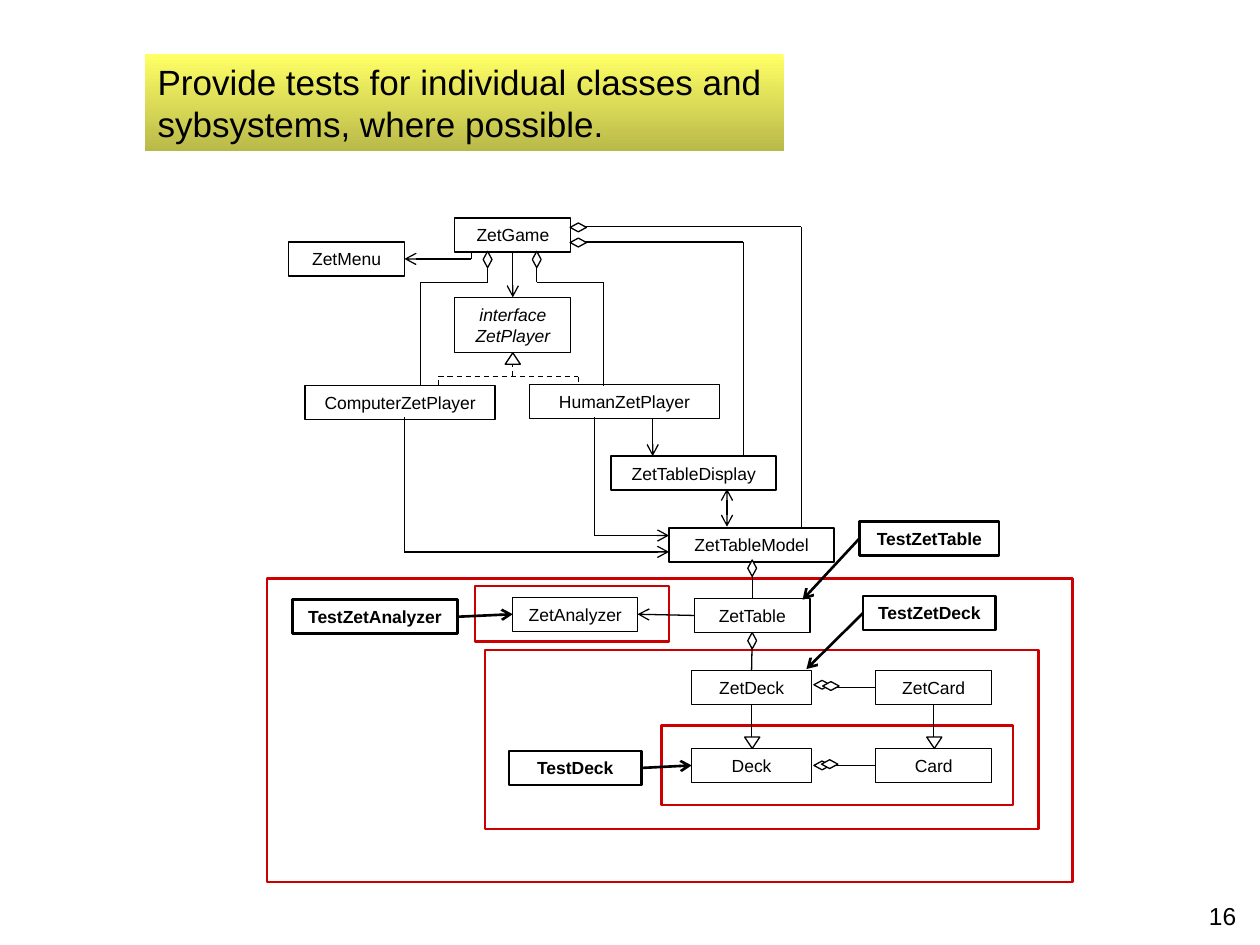
import dataclasses
import itertools

import pptx
import pptx.dml.color
import pptx.enum.dml
import pptx.enum.shapes
import pptx.enum.text
import pptx.oxml.ns
import pptx.util
from lxml import etree

RGB = pptx.dml.color.RGBColor.from_string
SHAPE = pptx.enum.shapes.MSO_SHAPE
ALIGN = pptx.enum.text.PP_ALIGN
ANCHOR = pptx.enum.text.MSO_ANCHOR
QN = pptx.oxml.ns.qn


@dataclasses.dataclass(frozen=True)
class Theme:
    """Hold the colours, type sizes and line widths."""
    ink: str = "000000"
    paper: str = "FFFFFF"
    frame: str = "CC0000"
    fade: tuple = ("FFFF66", "B9B94A")
    font: str = "Arial"
    head: int = 20
    page: int = 14
    label: int = 10
    thin: float = 0.75
    thick: float = 1.5


THEME = Theme()
COLS, ROWS = 100, 75
WIDE, HIGH = pptx.util.Inches(10), pptx.util.Inches(7.5)

FRAMES = [(1.2, 30.9, 63.9, 24.1), (18.5, 36.6, 43.9, 14.2),
          (32.5, 42.6, 27.9, 6.3), (17.7, 31.5, 15.4, 4.4)]
ROW = 2.7
NODES = {
    "ZetGame": (16.1, 2.3, 9.2, ROW),
    "ZetMenu": (2.9, 4.2, 9.2, ROW),
    "interface\nZetPlayer": (16.1, 8.6, 9.2, 4.4),
    "ComputerZetPlayer": (4.2, 15.6, 15.1, ROW),
    "HumanZetPlayer": (22, 15.5, 15.1, ROW),
    "ZetTableDisplay": (28.5, 21.2, 13.1, ROW),
    "ZetTableModel": (33.1, 26.9, 13.1, ROW),
    "ZetTable": (35.1, 32.5, 9.2, ROW),
    "ZetAnalyzer": (20.7, 32.4, 9.9, ROW),
    "ZetDeck": (34.9, 38.2, 9.5, ROW),
    "ZetCard": (49.5, 38.2, 9.2, ROW),
    "Deck": (34.9, 44.4, 9.5, ROW),
    "Card": (49.5, 44.4, 9.2, ROW),
    "TestZetAnalyzer": (3.2, 32.6, 13.1, ROW),
    "TestZetTable": (48.2, 26.4, 11.1, ROW),
    "TestZetDeck": (48.5, 32.3, 10.5, ROW),
    "TestDeck": (20.4, 44.6, 10.5, ROW),
}
TOP, LEFT, BASE, RIGHT = range(4)
PLAYER = "interface\nZetPlayer"
PLAIN = [
    [(18.7, 5.4), (18.7, 7.4), (13.4, 7.4), (13.4, 15.6)],
    [(22.6, 5.4), (22.6, 7.4), (27.9, 7.4), (27.9, 15.6)],
    [(25.9, 3), (43.6, 3), (43.6, 26.9)],
    [(25.3, 4.2), (39, 4.2), (39, 21.2)],
    [(39.7, 30), ("ZetTable", TOP)],
    [(39.7, 35.7), ("ZetDeck", TOP)],
    [("ZetDeck", BASE), (39.65, 43.8)],
    [("ZetCard", BASE), (54.1, 43.8)],
    [("ZetCard", LEFT), (45, 39.55)],
    [("Card", LEFT), (45, 45.75)],
]
DASHED = [
    [(PLAYER, BASE), (20.7, 14.9)],
    [(14.8, 15.6), (14.8, 14.9), (25.9, 14.9), (25.9, 15.5)],
]
USES = [
    [(17.4, 4.95), (17.4, 5.55), ("ZetMenu", RIGHT)],
    [("ZetGame", BASE), (PLAYER, TOP)],
    [(31.8, 18.2), (31.8, 21.2)],
    [(27.2, 18.1), (27.2, 27.5), (33.1, 27.5)],
    [(12.1, 18.1), (12.1, 28.8), (33.1, 28.8)],
    [("ZetTable", LEFT), ("ZetAnalyzer", RIGHT)],
]
MUTUAL = [[(37.7, 23.8), (37.7, 26.8)]]
TESTS = [
    [("TestZetAnalyzer", RIGHT), ("ZetAnalyzer", LEFT)],
    [("TestDeck", RIGHT), ("Deck", LEFT)],
    [("TestZetDeck", LEFT), (44, 38.1)],
    [("TestZetTable", LEFT), (43.7, 32.6)],
]
MARKS = [
    (SHAPE.DIAMOND, 0.7, 1.3, 0,
     [(18.7, 5.6), (22.6, 5.6), (39.7, 30.1), (39.7, 35.85)]),
    (SHAPE.DIAMOND, 1.3, 0.7, 0,
     [(25.9, 3.05), (25.9, 4.25), (45.25, 39.35), (45.95, 39.45),
      (45.25, 45.75), (45.85, 45.65)]),
    (SHAPE.ISOSCELES_TRIANGLE, 1.2, 0.9, 0, [(20.7, 13.45)]),
    (SHAPE.ISOSCELES_TRIANGLE, 1.2, 0.9, 180, [(39.7, 43.95), (54.15, 43.95)]),
]


def put(item, vals):
    """Set each named value on an item."""
    for key, val in vals.items():
        setattr(item, key, val)


def span(x, y):
    """Turn columns and rows into slide lengths."""
    return round(x * WIDE / COLS), round(y * HIGH / ROWS)


def place(box, part):
    """Give the slide lengths of a part within a box."""
    return span(box[0] + part[0], box[1] + part[1]) + span(*part[2:])


def write(shape, text, size, align, anchor, **style):
    """Fill a shape with text in the theme's type."""
    frame = shape.text_frame
    put(frame, {"text": text, "word_wrap": True, "vertical_anchor": anchor,
                "auto_size": pptx.enum.text.MSO_AUTO_SIZE.NONE})
    for para in frame.paragraphs:
        put(para, {"alignment": align, "line_spacing": 1.0})
        put(para.font, {"name": THEME.font, "size": pptx.util.Pt(size), **style})
        para.font.color.rgb = RGB(THEME.ink)


def draw(slide, kind, spot, hue, width, fill=None):
    """Add an outlined shape."""
    shape = slide.shapes.add_shape(kind, *spot)
    shape.shadow.inherit = False
    shape.line.color.rgb = RGB(hue)
    shape.line.width = pptx.util.Pt(width)
    if fill:
        shape.fill.solid()
        shape.fill.fore_color.rgb = RGB(fill)
    else:
        shape.fill.background()
    return shape


def point(end):
    """Find the grid point of a free end or a node's side."""
    if end[0] not in NODES:
        return end
    x, y, w, h = NODES[end[0]]
    dx, dy = ((0.5, 0), (0, 0.5), (0.5, 1), (1, 0.5))[end[1]]
    return x + w * dx, y + h * dy


def wire(slide, box, nodes, route, width=THEME.thin, tips=(), dash=None):
    """Draw a route of straight lines with tips at its ends."""
    pairs = list(itertools.pairwise(route))
    for step, pair in enumerate(pairs):
        ends = [span(box[0] + x, box[1] + y) for x, y in map(point, pair)]
        line = slide.shapes.add_connector(
            pptx.enum.shapes.MSO_CONNECTOR.STRAIGHT, *ends[0], *ends[1])
        for end, join in zip(pair, (line.begin_connect, line.end_connect)):
            if end[0] in nodes:
                join(nodes[end[0]], end[1])
        line.line.color.rgb = RGB(THEME.ink)
        put(line.line, {"width": pptx.util.Pt(width), "dash_style": dash})
        props = line.element.spPr
        for tip in tips:
            if step == (0 if tip == "a:headEnd" else len(pairs) - 1):
                etree.SubElement(props.find(QN("a:ln")), QN(tip), type="arrow")
        etree.SubElement(props, QN("a:effectLst"))


def title(slide, box):
    """Place the title on its shaded band."""
    shape = slide.shapes.title
    spot = place((0, 0), box)
    put(shape, dict(zip(("left", "top", "width", "height"), spot)))
    shape.fill.gradient()
    shape.fill.gradient_angle = 270
    for stop, hue in zip(shape.fill.gradient_stops, THEME.fade):
        stop.color.rgb = RGB(hue)
    write(shape, "Provide tests for individual classes and sybsystems, where possible.",
          THEME.head, ALIGN.LEFT, ANCHOR.MIDDLE)


def chart(slide, box):
    """Place the class chart with its frames, nodes, wires and marks."""
    for part in FRAMES:
        draw(slide, SHAPE.RECTANGLE, place(box, part), THEME.frame, THEME.thick)
    nodes = {}
    for name, part in NODES.items():
        test = name.startswith("Test")
        nodes[name] = draw(slide, SHAPE.RECTANGLE, place(box, part), THEME.ink,
                           THEME.thick if test else THEME.thin)
        write(nodes[name], name, THEME.label, ALIGN.CENTER, ANCHOR.MIDDLE,
              bold=test, italic=name == PLAYER)
    tail = ("a:tailEnd",)
    for routes, style in (
            (PLAIN, {}),
            (DASHED, {"dash": pptx.enum.dml.MSO_LINE.DASH}),
            (USES, {"tips": tail}),
            (MUTUAL, {"tips": ("a:headEnd", "a:tailEnd")}),
            (TESTS, {"tips": tail, "width": THEME.thick})):
        for route in routes:
            wire(slide, box, nodes, route, **style)
    for kind, w, h, turn, spots in MARKS:
        for x, y in spots:
            spot = place(box, (x - w / 2, y - h / 2, w, h))
            mark = draw(slide, kind, spot, THEME.ink, THEME.thin, THEME.paper)
            mark.rotation = turn


def number(slide, box):
    """Place the page number."""
    shape = slide.shapes.add_textbox(*place((0, 0), box))
    write(shape, "16", THEME.page, ALIGN.RIGHT, ANCHOR.TOP)


def main():
    """Build and save the slide."""
    deck = pptx.Presentation()
    put(deck, {"slide_width": WIDE, "slide_height": HIGH})
    slide = deck.slides.add_slide(deck.slide_layouts[5])
    title(slide, (11.5, 4.3, 50.7, 7.7))
    chart(slide, (20, 15, 65, 56))
    number(slide, (78.3, 71, 20.8, 5))
    deck.save("out.pptx")


if __name__ == "__main__":
    main()
